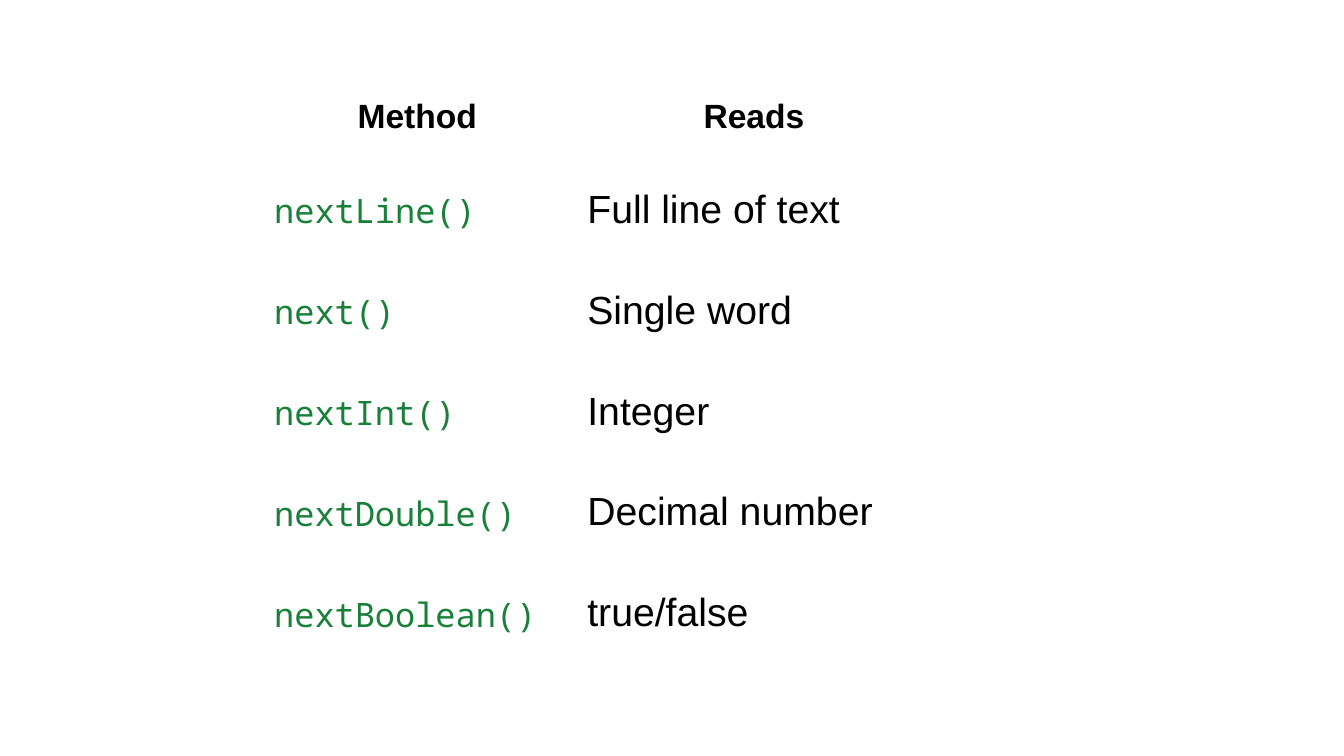
from pptx import Presentation
from pptx.dml.color import RGBColor
from pptx.enum.text import MSO_ANCHOR, PP_ALIGN
from pptx.util import Inches, Pt

TOP = MSO_ANCHOR.TOP
LEFT, CENTER = PP_ALIGN.LEFT, PP_ALIGN.CENTER

HEADERS = ("Method", "Reads")
METHODS = [
    ("nextLine()", "Full line of text"),
    ("next()", "Single word"),
    ("nextInt()", "Integer"),
    ("nextDouble()", "Decimal number"),
    ("nextBoolean()", "true/false"),
]

BLACK = RGBColor(0x00, 0x00, 0x00)
GREEN = RGBColor(0x18, 0x80, 0x38)
THEME = {
    "header": {"font": "Arial", "size": 18, "color": BLACK, "bold": True},
    "method": {"font": "Noto Sans Mono", "size": 18, "color": GREEN, "bold": False},
    "reads": {"font": "Arial", "size": 21, "color": BLACK, "bold": False},
}

SLIDE_WIDTH = 10
SLIDE_HEIGHT = SLIDE_WIDTH * 9 / 16
TABLE_LEFT, TABLE_TOP = 1.94, 0.59
COLUMN_WIDTHS = (2.33, 2.68)
HEADER_HEIGHT, ROW_HEIGHT = 0.71, 0.75
CELL_MARGIN = 0.1


def fill_cell(cell, text, style, alignment=LEFT, line_spacing=None):
    cell.fill.background()
    cell.vertical_anchor = TOP
    cell.margin_left = cell.margin_right = Inches(CELL_MARGIN)
    cell.margin_top = cell.margin_bottom = Inches(CELL_MARGIN)
    paragraph = cell.text_frame.paragraphs[0]
    paragraph.alignment = alignment
    paragraph.line_spacing = line_spacing
    run = paragraph.add_run()
    run.text = text
    run.font.name = style["font"]
    run.font.size = Pt(style["size"])
    run.font.bold = style["bold"]
    run.font.color.rgb = style["color"]


def add_method_table(slide):
    row_heights = [HEADER_HEIGHT] + [ROW_HEIGHT] * len(METHODS)
    table = slide.shapes.add_table(
        len(row_heights), len(COLUMN_WIDTHS),
        Inches(TABLE_LEFT), Inches(TABLE_TOP),
        Inches(sum(COLUMN_WIDTHS)), Inches(sum(row_heights)),
    ).table
    table.first_row = False
    table.horz_banding = False
    for column, width in zip(table.columns, COLUMN_WIDTHS):
        column.width = Inches(width)
    for row, height in zip(table.rows, row_heights):
        row.height = Inches(height)

    for column_index, header in enumerate(HEADERS):
        fill_cell(table.cell(0, column_index), header, THEME["header"], CENTER, 1.15)
    for row_index, (method, reads) in enumerate(METHODS, start=1):
        fill_cell(table.cell(row_index, 0), method, THEME["method"])
        fill_cell(table.cell(row_index, 1), reads, THEME["reads"])


def main():
    presentation = Presentation()
    presentation.slide_width = Inches(SLIDE_WIDTH)
    presentation.slide_height = Inches(SLIDE_HEIGHT)
    slide = presentation.slides.add_slide(presentation.slide_layouts[6])
    add_method_table(slide)
    presentation.save("out.pptx")


if __name__ == "__main__":
    main()
